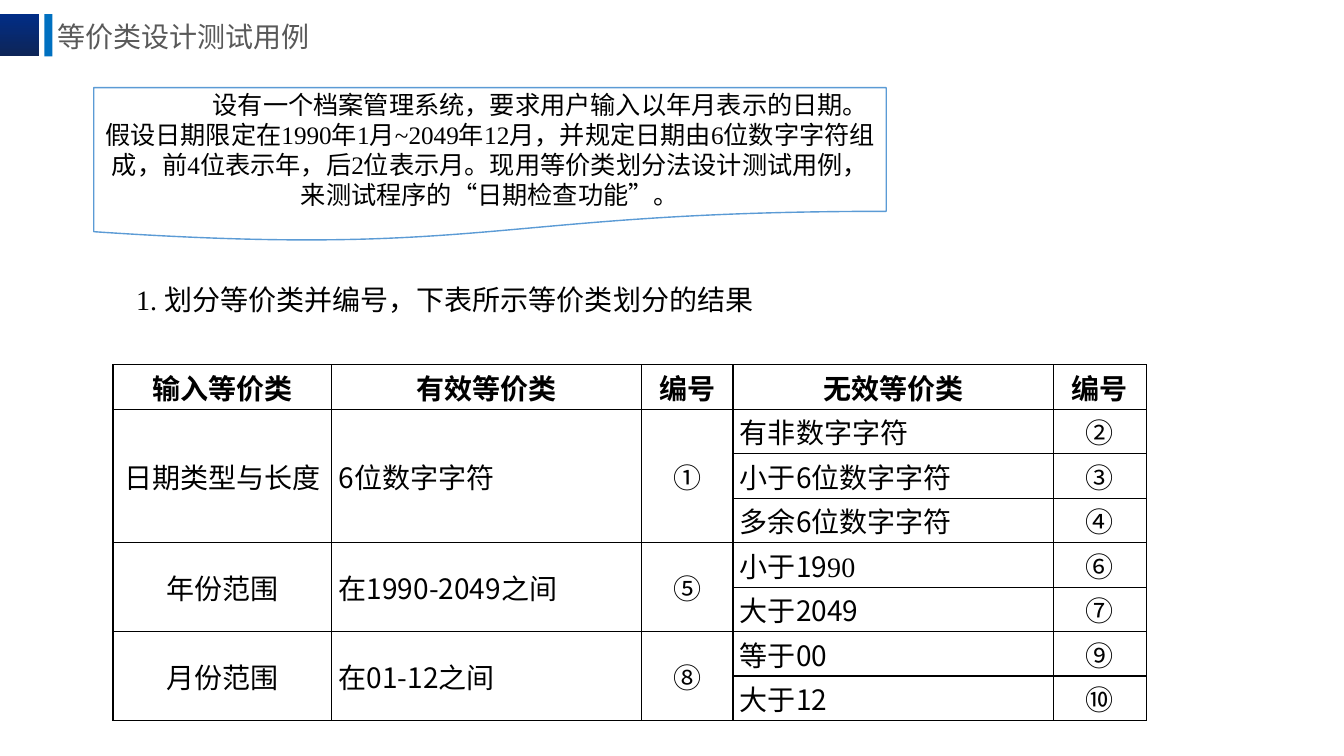
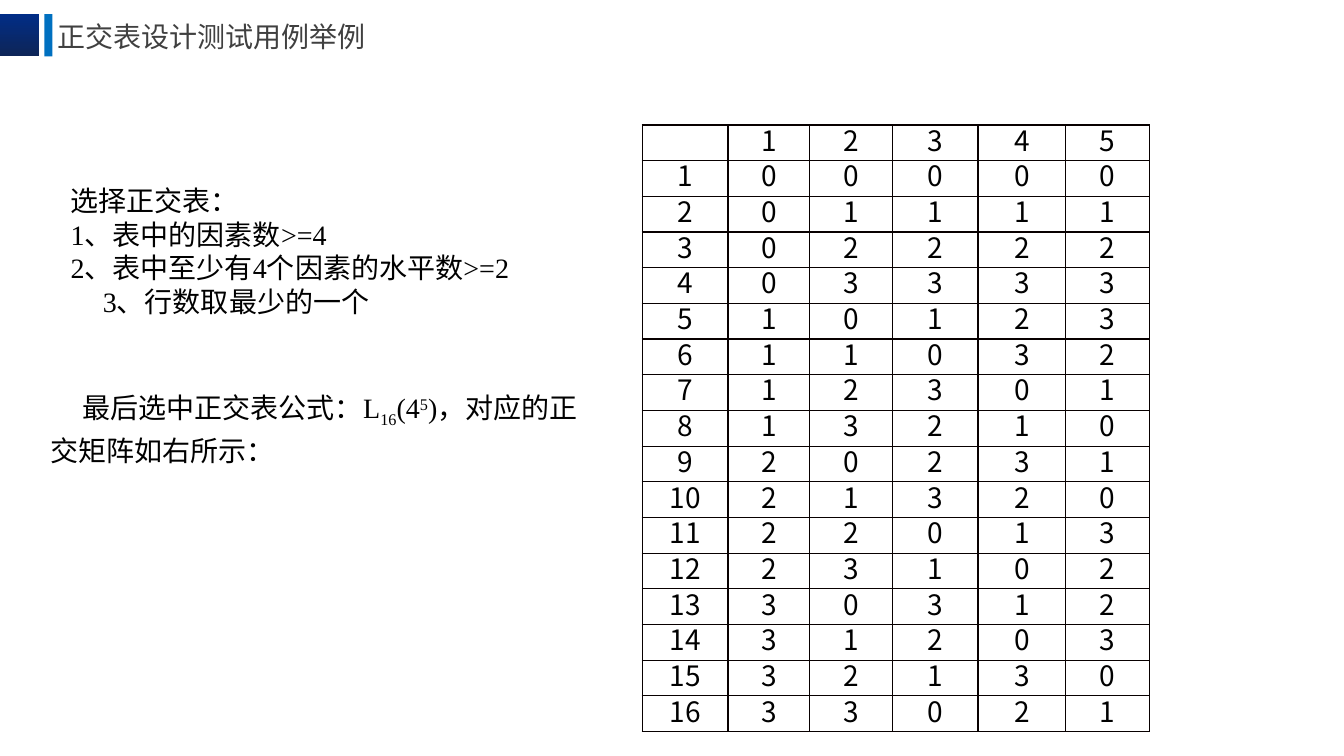
import pptx
import pptx.dml.color
import pptx.enum.dml
import pptx.enum.shapes
import pptx.enum.text
import pptx.oxml.ns
import pptx.util
from lxml import etree

Inches = pptx.util.Inches
Pt = pptx.util.Pt
Align = pptx.enum.text.PP_ALIGN
Anchor = pptx.enum.text.MSO_ANCHOR
Shape = pptx.enum.shapes.MSO_SHAPE
qn = pptx.oxml.ns.qn

COLORS = {
    "navy": "012D86",
    "deep": "0E2557",
    "blue": "0070C0",
    "outline": "5B9BD5",
    "white": "FFFFFF",
    "black": "000000",
    "grid": "080000",
    "title": "595959",
    "title_dark": "404040",
}
SANS = "Noto Sans CJK SC"
SERIF = "Times New Roman"
BODY_SIZE = 20
LINE_PITCH = 24


def rgb(name):
    return pptx.dml.color.RGBColor.from_string(COLORS[name])


def place(shape, left, top, width, height):
    shape.left, shape.top = Inches(left), Inches(top)
    shape.width, shape.height = Inches(width), Inches(height)


def style_para(para, name=SANS, size=BODY_SIZE, color="black", bold=False,
               align=Align.LEFT, pitch=None, indent=0):
    properties = para._p.get_or_add_pPr()
    properties.set("marL", "0")
    properties.set("indent", str(Inches(indent)))
    etree.SubElement(properties, qn("a:buNone"))
    para.alignment = align
    para.space_before = Pt(0)
    if pitch:
        para.line_spacing = Pt(pitch)
    font = para.font
    font.size, font.bold = Pt(size), bold
    font.color.rgb = rgb(color)
    font.name = name
    etree.SubElement(font._element, qn("a:ea")).set("typeface", SANS)


def fill_para(para, content, **style):
    style_para(para, **style)
    spans = [(content,)] if isinstance(content, str) else content
    for text, *options in spans:
        span = para.add_run()
        span.text = text
        if options:
            span.font.name = options[0]
        if len(options) > 1:
            span.font._element.set("baseline", str(options[1] * 1000))


def fill_frame(frame, contents, indents, **style):
    frame.word_wrap = True
    frame.auto_size = pptx.enum.text.MSO_AUTO_SIZE.NONE
    for index, (content, indent) in enumerate(zip(contents, indents)):
        para = frame.add_paragraph() if index else frame.paragraphs[0]
        fill_para(para, content, indent=indent, **style)


def add_block(page, shape_type, left, top, width, height):
    block = page.shapes.add_shape(shape_type, Inches(left), Inches(top),
                                  Inches(width), Inches(height))
    block.shadow.inherit = False
    block.line.fill.background()
    return block


def add_page(deck, title, title_color):
    page = deck.slides.add_slide(deck.slide_layouts[1])
    square = add_block(page, Shape.RECTANGLE, -0.01, 0.14, 0.4, 0.42)
    square.fill.gradient()
    square.fill.gradient_angle = 270
    for stop, name, position in zip(square.fill.gradient_stops,
                                    ("navy", "deep"), (0, 1)):
        stop.color.rgb = rgb(name)
        stop.position = position
    stripe = add_block(page, Shape.RECTANGLE, 0.44, 0.14, 0.08, 0.42)
    stripe.fill.solid()
    stripe.fill.fore_color.rgb = rgb("blue")
    heading = page.shapes.title
    place(heading, 0.47, 0.06, 3.5, 0.61)
    heading.text_frame.vertical_anchor = Anchor.MIDDLE
    fill_frame(heading.text_frame, [title], [0], color=title_color)
    return page


def add_body(page, box, contents, indents, **style):
    body = page.placeholders[1]
    place(body, *box)
    body.text_frame.vertical_anchor = Anchor.TOP
    fill_frame(body.text_frame, contents, indents, pitch=LINE_PITCH, **style)


def add_callout(page, text):
    callout = add_block(page, Shape.FLOWCHART_DOCUMENT, 0.93, 0.87, 7.86, 1.53)
    callout.fill.solid()
    callout.fill.fore_color.rgb = rgb("white")
    callout.line.color.rgb = rgb("outline")
    callout.line.width = Pt(1)
    callout.text_frame.vertical_anchor = Anchor.MIDDLE
    fill_frame(callout.text_frame, [text], [1], name=SERIF, size=18,
               align=Align.CENTER, pitch=21.4)


def set_borders(cell, color):
    properties = cell._tc.get_or_add_tcPr()
    for side in ("lnL", "lnR", "lnT", "lnB"):
        line = etree.SubElement(properties, qn("a:" + side), w=str(Pt(1)))
        paint = etree.SubElement(line, qn("a:solidFill"))
        etree.SubElement(paint, qn("a:srgbClr"), val=COLORS[color])


def add_grid(page, left, top, widths, height, rows, grid_color, insets,
             left_columns=(), bold_header=False, pitch=None):
    frame = page.shapes.add_table(len(rows), len(widths), Inches(left),
                                  Inches(top), Inches(sum(widths)),
                                  Inches(height))
    table = frame.table
    table.first_row = table.horz_banding = False
    for column, width in zip(table.columns, widths):
        column.width = Inches(width)
    for row_index, row in enumerate(rows):
        table.rows[row_index].height = Inches(height / len(rows))
        for column_index, content in enumerate(row):
            cell = table.cell(row_index, column_index)
            set_borders(cell, grid_color)
            cell.fill.background()
            cell.vertical_anchor = Anchor.MIDDLE
            cell.margin_left = cell.margin_right = Inches(insets[0])
            cell.margin_top = cell.margin_bottom = Inches(insets[1])
            header = row_index == 0
            is_left = column_index in left_columns and not header
            fill_para(cell.text_frame.paragraphs[0], content,
                      align=Align.LEFT if is_left else Align.CENTER,
                      bold=header and bold_header, pitch=pitch)
    return table


def equivalence_page(deck):
    page = add_page(deck, "等价类设计测试用例", "title")
    add_callout(page, "设有一个档案管理系统，要求用户输入以年月表示的日期。"
                      "假设日期限定在1990年1月~2049年12月，并规定日期由6位数字"
                      "字符组成，前4位表示年，后2位表示月。现用等价类划分法设计测"
                      "试用例，来测试程序的“日期检查功能”。")
    add_body(page, (0.93, 2.75, 7.57, 0.44),
             ["1. 划分等价类并编号，下表所示等价类划分的结果"], [0.32], name=SERIF)
    groups = [
        ("日期类型与长度", "6位数字字符", "①",
         [("有非数字字符", "②"), ("小于6位数字字符", "③"),
          ("多余6位数字字符", "④")]),
        ("年份范围", "在1990-2049之间", "⑤",
         [([("小于19",), ("90", SERIF)], "⑥"), ("大于2049", "⑦")]),
        ("月份范围", "在01-12之间", "⑧",
         [("等于00", "⑨"), ("大于12", "⑩")]),
    ]
    rows = [("输入等价类", "有效等价类", "编号", "无效等价类", "编号")]
    merges = []
    for *valid, invalid in groups:
        merges.append((len(rows), len(rows) + len(invalid) - 1))
        for index, pair in enumerate(invalid):
            rows.append((*(valid if index == 0 else [""] * 3), *pair))
    table = add_grid(page, 1.12, 3.62, [2.17, 3.07, 0.91, 3.18, 0.92], 3.53,
                     rows, "black", (0.07, 0), left_columns=(1, 3),
                     bold_header=True)
    for first, last in merges:
        for column in range(3):
            table.cell(first, column).merge(table.cell(last, column))


def orthogonal_rows():
    multiples = [(0, 0, 0), (1, 2, 3), (2, 3, 1), (3, 1, 2)]
    rows = [("", "1", "2", "3", "4", "5")]
    for first, products in enumerate(multiples):
        for second in range(4):
            levels = [first, second, *(value ^ second for value in products)]
            rows.append([str(value) for value in (len(rows), *levels)])
    return rows


def orthogonal_page(deck):
    page = add_page(deck, "正交表设计测试用例举例", "title_dark")
    add_body(page, (0.6, 1.77, 5.56, 1.45), [
        "选择正交表：",
        [("1", SERIF), ("、表中的因素数",), (">=4", SERIF)],
        [("2", SERIF), ("、表中至少有",), ("4", SERIF), ("个因素的水平数",),
         (">=2", SERIF)],
        [("3", SERIF), ("、行数取最少的一个",)],
    ], [0, 0, 0, 0.32])
    formula = page.shapes.add_textbox(Inches(0.4), Inches(3.83),
                                      Inches(5.56), Inches(0.85))
    fill_frame(formula.text_frame, [[
        ("最后选中正交表公式：",), ("L", SERIF), ("16", SERIF, -25),
        ("(4", SERIF), ("5", SERIF, 30), (")，对应的", SERIF),
        ("正交矩阵如右所示：",),
    ]], [0.32], pitch=27)
    add_grid(page, 6.37, 1.24, [0.85, 0.81, 0.82, 0.85, 0.87, 0.83], 6.02,
             orthogonal_rows(), "grid", (0.01, 0.01), pitch=23.5)


def main():
    deck = pptx.Presentation()
    deck.slide_width, deck.slide_height = Inches(13.33), Inches(7.5)
    equivalence_page(deck)
    orthogonal_page(deck)
    deck.save("out.pptx")


if __name__ == "__main__":
    main()
